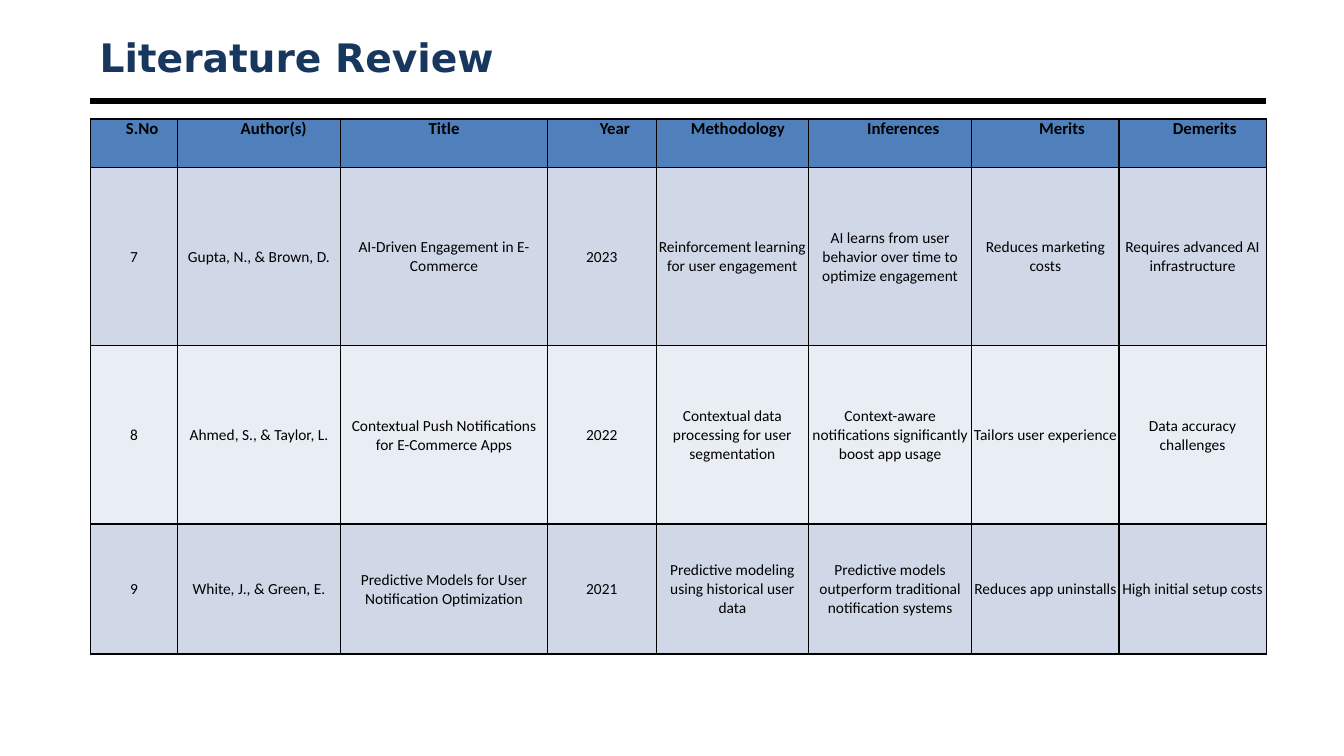
from dataclasses import dataclass

from lxml import etree
from pptx import Presentation
from pptx.dml.color import RGBColor
from pptx.enum.shapes import MSO_CONNECTOR
from pptx.enum.text import MSO_ANCHOR, PP_ALIGN
from pptx.oxml.ns import qn
from pptx.util import Inches, Pt


@dataclass
class Theme:
    title_font: str = "DejaVu Sans"
    body_font: str = "Calibri"
    title_size: int = 28
    header_size: int = 12
    body_size: int = 11
    title: str = "17375E"
    ink: str = "000000"
    header_fill: str = "4F80BC"
    bands: tuple = ("D0D8E8", "E9EDF4")


theme = Theme()


def add_run(p, text, font, size, color, bold=False):
    r = p.add_run()
    r.text = text
    r.font.name = font
    r.font.size = Pt(size)
    r.font.bold = bold
    r.font.color.rgb = RGBColor.from_string(color)


def add_borders(cell, color, width):
    """Line all four sides; call before the fill, which must follow in the XML."""
    tc_pr = cell._tc.get_or_add_tcPr()
    for side in ("a:lnL", "a:lnR", "a:lnT", "a:lnB"):
        ln = etree.SubElement(tc_pr, qn(side), w=str(Pt(width)))
        fill = etree.SubElement(ln, qn("a:solidFill"))
        etree.SubElement(fill, qn("a:srgbClr"), val=color)


prs = Presentation()
prs.slide_width, prs.slide_height = Inches(13.33), Inches(7.5)
s = prs.slides.add_slide(prs.slide_layouts[6])

# Title and rule
rule = s.shapes.add_connector(
    MSO_CONNECTOR.STRAIGHT, Inches(0.89), Inches(1), Inches(12.56), Inches(1))
rule.line.color.rgb = RGBColor.from_string(theme.ink)
rule.line.width = Pt(4.5)
etree.SubElement(rule._element.spPr, qn("a:effectLst"))

title = s.shapes.add_textbox(Inches(0.89), Inches(0.3), Inches(11.67), Inches(0.53))
tf = title.text_frame
tf.word_wrap = True
tf.vertical_anchor = MSO_ANCHOR.MIDDLE
add_run(tf.paragraphs[0], "Literature Review", theme.title_font,
        theme.title_size, theme.title, bold=True)

# Review table: heading, column width, heading indent
columns = [
    ("S.No", 0.86, 0.16),
    ("Author(s)", 1.62, 0.29),
    ("Title", 2.05, 0),
    ("Year", 1.08, 0.26),
    ("Methodology", 1.51, 0.11),
    ("Inferences", 1.62, 0.26),
    ("Merits", 1.46, 0.33),
    ("Demerits", 1.46, 0.24),
]
row_heights = [0.48, 1.77, 1.77, 1.29]
papers = [
    ("7", "Gupta, N., & Brown, D.", "AI-Driven Engagement in E-Commerce", "2023",
     "Reinforcement learning for user engagement",
     "AI learns from user behavior over time to optimize engagement",
     "Reduces marketing costs", "Requires advanced AI infrastructure"),
    ("8", "Ahmed, S., & Taylor, L.",
     "Contextual Push Notifications for E-Commerce Apps", "2022",
     "Contextual data processing for user segmentation",
     "Context-aware notifications significantly boost app usage",
     "Tailors user experience", "Data accuracy challenges"),
    ("9", "White, J., & Green, E.",
     "Predictive Models for User Notification Optimization", "2021",
     "Predictive modeling using historical user data",
     "Predictive models outperform traditional notification systems",
     "Reduces app uninstalls", "High initial setup costs"),
]
rows = [[heading for heading, _, _ in columns], *papers]

table = s.shapes.add_table(len(rows), len(columns), Inches(0.9), Inches(1.18),
                           Inches(11.65), Inches(5.3)).table
for column, (_, width, _) in zip(table.columns, columns):
    column.width = Inches(width)

for i, (texts, height) in enumerate(zip(rows, row_heights)):
    table.rows[i].height = Inches(height)
    is_header = i == 0
    fill = theme.header_fill if is_header else theme.bands[(i - 1) % 2]
    size = theme.header_size if is_header else theme.body_size
    inset = Inches(0 if is_header else 0.01)
    for j, text in enumerate(texts):
        cell = table.cell(i, j)
        cell.margin_left = cell.margin_right = cell.margin_top = inset
        cell.margin_bottom = 0
        cell.vertical_anchor = MSO_ANCHOR.TOP if is_header else MSO_ANCHOR.MIDDLE
        add_borders(cell, theme.ink, 1)
        cell.fill.solid()
        cell.fill.fore_color.rgb = RGBColor.from_string(fill)
        p = cell.text_frame.paragraphs[0]
        p.alignment = PP_ALIGN.CENTER
        if is_header:
            p._p.get_or_add_pPr().set("marL", str(Inches(columns[j][2])))
        add_run(p, text, theme.body_font, size, theme.ink, bold=is_header)

prs.save("out.pptx")
